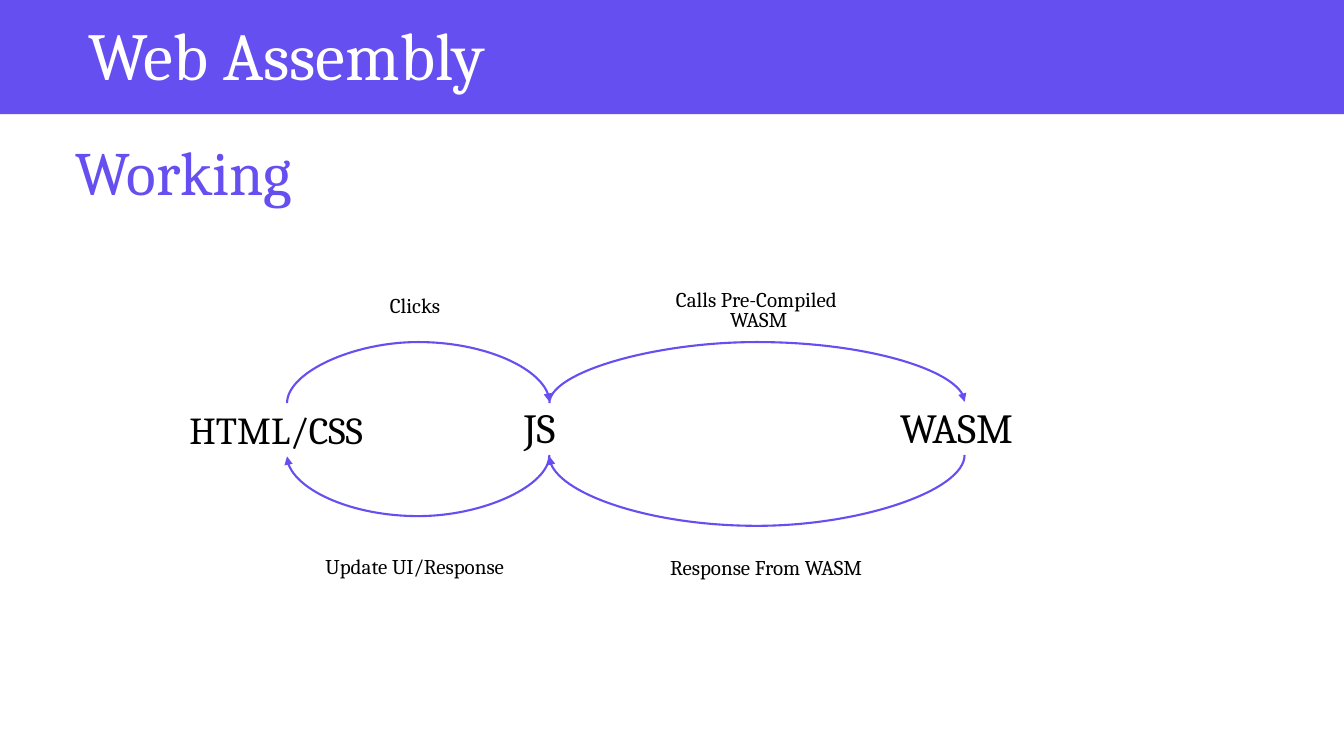
"""Build the Web Assembly slide showing how HTML/CSS, JS and WASM interact."""
from lxml.etree import SubElement
from pptx import Presentation
from pptx.dml.color import RGBColor
from pptx.enum.shapes import MSO_CONNECTOR, MSO_SHAPE
from pptx.enum.text import MSO_ANCHOR, MSO_AUTO_SIZE, PP_ALIGN
from pptx.oxml.ns import qn
from pptx.util import Pt

FONT = "Cambria"
PURPLE, WHITE, BLACK = "654FF1", "FFFFFF", "000000"
LEFT, CENTER = PP_ALIGN.LEFT, PP_ALIGN.CENTER

SLIDE_W, SLIDE_H, BAND_H = 960, 540, 81.5
TITLE = ("Web Assembly", (35.3, 9.4, 338.4, 61.9), 48, WHITE, CENTER, 0.9)
TEXTS = [
    ("Working", (46.8, 90.7, 224.6, 61.9), 44, PURPLE, LEFT, 0.9),
    ("HTML/CSS", (128.2, 288, 151.9, 38.2), 27.2, BLACK, LEFT, 0.8),
    ("JS", (367.2, 288, 48.2, 38.2), 29.6, BLACK, LEFT, 0.8),
    ("WASM", (635.8, 288, 105.1, 38.2), 29.6, BLACK, LEFT, 0.8),
    ("Clicks", (271.4, 202.3, 54, 28.1), 15, BLACK, LEFT, 0.9),
    ("Calls Pre-Compiled\n WASM", (457.9, 202.3, 164.9, 38.2), 15, BLACK, CENTER, 0.8),
    ("Update UI/Response", (218.9, 388.8, 154.8, 28.1), 15, BLACK, CENTER, 0.9),
    ("Response From WASM", (471.6, 385.2, 190.8, 32.4), 15, BLACK, LEFT, 0.9),
]

NODE_X = {"html": 205, "js": 392.4, "wasm": 689}
UPPER_Y, LOWER_Y = 287.5, 325.5
ARROWS = [("html", "js", 44), ("js", "wasm", 44), ("js", "html", 44), ("wasm", "js", 51)]


def color(value):
    return RGBColor.from_string(value)


def write(sp, text, size, rgb, align, spacing):
    tf = sp.text_frame
    tf.text = text
    tf.word_wrap = True
    tf.auto_size = MSO_AUTO_SIZE.NONE
    tf.vertical_anchor = MSO_ANCHOR.BOTTOM
    for p in tf.paragraphs:
        p.alignment = align
        p.line_spacing = spacing
        p.space_before = Pt(0)
        for r in p.runs:
            r.font.name = FONT
            r.font.size = Pt(size)
            r.font.color.rgb = color(rgb)


def add_arc(s, start, end, depth):
    """Draw a quarter-turned, one-point-wide curve whose adjustment sets the bulge."""
    x1, x2 = NODE_X[start], NODE_X[end]
    forward = x2 > x1
    middle, half = (x1 + x2) / 2, abs(x2 - x1) / 2
    y = UPPER_Y if forward else LOWER_Y
    side = 1 if forward else -1
    line = s.shapes.add_connector(
        MSO_CONNECTOR.CURVE,
        Pt(middle + side / 2), Pt(y + side * half),
        Pt(middle - side / 2), Pt(y - side * half))
    line.line.color.rgb = color(PURPLE)
    line.line.width = Pt(1.5)
    props = line._element.spPr
    props.find(qn("a:xfrm")).set("rot", str(90 * 60000))
    guides = props.find(qn("a:prstGeom")).find(qn("a:avLst"))
    SubElement(guides, qn("a:gd"), name="adj1", fmla=f"val {depth * 100000}")
    SubElement(props.find(qn("a:ln")), qn("a:tailEnd"), type="triangle")
    SubElement(props, qn("a:effectLst"))


def main():
    prs = Presentation()
    prs.slide_width, prs.slide_height = Pt(SLIDE_W), Pt(SLIDE_H)
    s = prs.slides.add_slide(prs.slide_layouts[5])

    band = s.shapes.add_shape(MSO_SHAPE.RECTANGLE, 0, 0, Pt(SLIDE_W), Pt(BAND_H))
    band.shadow.inherit = False
    band.fill.solid()
    band.fill.fore_color.rgb = color(PURPLE)
    band.line.fill.background()

    title = s.shapes.title
    title._element.addprevious(band._element)
    text, box, *style = TITLE
    title.left, title.top, title.width, title.height = map(Pt, box)
    write(title, text, *style)

    for text, box, *style in TEXTS:
        write(s.shapes.add_textbox(*map(Pt, box)), text, *style)
    for arrow in ARROWS:
        add_arc(s, *arrow)
    prs.save("out.pptx")


if __name__ == "__main__":
    main()
